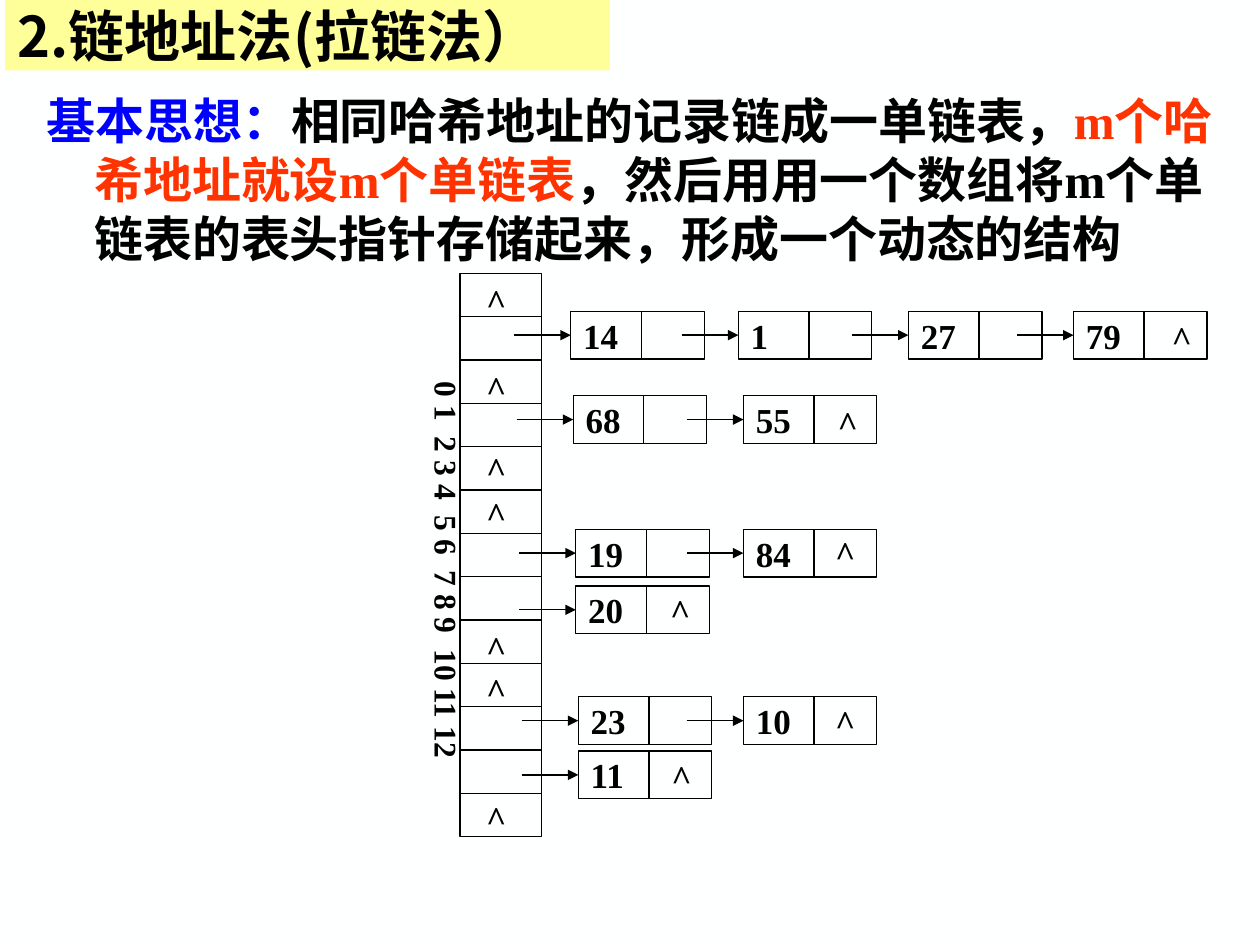
"""Build a slide that explains separate chaining for hash tables."""
from dataclasses import dataclass

from lxml import etree
from pptx import Presentation
from pptx.dml.color import RGBColor
from pptx.enum.shapes import MSO_CONNECTOR, MSO_SHAPE
from pptx.enum.text import MSO_ANCHOR, MSO_AUTO_SIZE, PP_ALIGN
from pptx.oxml.ns import qn
from pptx.util import Inches, Pt

STRAIGHT = MSO_CONNECTOR.STRAIGHT
RECTANGLE = MSO_SHAPE.RECTANGLE
MIDDLE = MSO_ANCHOR.MIDDLE
TOP = MSO_ANCHOR.TOP
LEFT = PP_ALIGN.LEFT
NO_FIT = MSO_AUTO_SIZE.NONE
FIT_SHAPE = MSO_AUTO_SIZE.SHAPE_TO_FIT_TEXT

BLACK = RGBColor(0x00, 0x00, 0x00)
BLUE = RGBColor(0x00, 0x00, 0xFF)
RED = RGBColor(0xFF, 0x33, 0x00)
YELLOW = RGBColor(0xFF, 0xFF, 0x99)
PAPER = RGBColor(0xFE, 0xFF, 0xFF)

SERIF = "Times New Roman"
SANS = "Noto Sans CJK SC"
LINE_WIDTH = Pt(0.75)

TABLE_LEFT, TABLE_TOP, TABLE_W, TABLE_H = 3.65, 2.17, 0.65, 4.47
BUCKETS = 13
NODE_W, NODE_H, DATA_W, ARROW_W = 1.06, 0.38, 0.56, 0.45
MARK_LEFT = 3.76
MARK_TOPS = (2.17, 2.86, 3.5, 3.86, 4.92, 5.26, 6.27)


@dataclass(frozen=True)
class Node:
    """A list node with its key and left edge."""
    key: str
    left: float


@dataclass(frozen=True)
class Chain:
    """A linked list and the place of its closing null mark."""
    top: float
    nodes: tuple[Node, ...]
    mark_left: float
    mark_top: float


CHAINS = (
    Chain(2.47, (Node("14", 4.53), Node("1", 5.86), Node("27", 7.21), Node("79", 8.52)), 9.2, 2.46),
    Chain(3.14, (Node("68", 4.55), Node("55", 5.9)), 6.55, 3.14),
    Chain(4.2, (Node("19", 4.57), Node("84", 5.9)), 6.53, 4.17),
    Chain(4.65, (Node("20", 4.57),), 5.22, 4.63),
    Chain(5.53, (Node("23", 4.59), Node("10", 5.9)), 6.53, 5.51),
    Chain(5.96, (Node("11", 4.59),), 5.23, 5.95),
)

IDEA = (
    ("基本思想：", BLUE),
    ("相同哈希地址的记录链成一单链表，", BLACK),
    ("m个哈希地址就设m个单链表", RED),
    ("，然后用用一个数组将m个单链表的表头指针存储起来，形成一个动态的结构", BLACK),
)


def style_run(r, size: float, color: RGBColor = BLACK, name: str = SERIF) -> None:
    """Format a run in bold with Latin and East Asian fonts."""
    r.font.size = Pt(size)
    r.font.bold = True
    r.font.color.rgb = color
    r.font.name = name
    etree.SubElement(r.font._element, qn("a:ea"), typeface=SANS)


def add_box(slide, left: float, top: float, width: float, height: float):
    """Add an unfilled rectangle with a thin black outline."""
    sp = slide.shapes.add_shape(
        RECTANGLE, Inches(left), Inches(top), Inches(width), Inches(height))
    sp.shadow.inherit = False
    sp.fill.background()
    sp.line.color.rgb = BLACK
    sp.line.width = LINE_WIDTH
    return sp


def add_line(slide, x1: float, y1: float, x2: float, y2: float, arrow: bool = False):
    """Add a thin black line, with an arrowhead if asked."""
    line = slide.shapes.add_connector(
        STRAIGHT, Inches(x1), Inches(y1), Inches(x2), Inches(y2))
    line.line.color.rgb = BLACK
    line.line.width = LINE_WIDTH
    if arrow:
        etree.SubElement(line.line._get_or_add_ln(), qn("a:tailEnd"), type="triangle")
    etree.SubElement(line._element.spPr, qn("a:effectLst"))
    return line


def add_label(slide, text: str, left: float, top: float, width: float,
              height: float, size: float):
    """Add an unwrapped text box and return its text frame."""
    sp = slide.shapes.add_textbox(
        Inches(left), Inches(top), Inches(width), Inches(height))
    tf = sp.text_frame
    tf.word_wrap = False
    tf.auto_size = FIT_SHAPE
    tf.text = text
    style_run(tf.paragraphs[0].runs[0], size)
    return tf


def add_mark(slide, left: float, top: float) -> None:
    """Add a null pointer mark."""
    add_label(slide, "^", left, top, 0.36, 0.44, 20)


def add_node(slide, node: Node, top: float) -> None:
    """Add a list node and the arrow that leads to it."""
    box = add_box(slide, node.left, top, NODE_W, NODE_H)
    tf = box.text_frame
    tf.word_wrap = False
    tf.vertical_anchor = MIDDLE
    tf.text = node.key
    p = tf.paragraphs[0]
    p.alignment = LEFT
    style_run(p.runs[0], 20)
    divider = node.left + DATA_W
    add_line(slide, divider, top, divider, top + NODE_H)
    middle = top + NODE_H / 2
    arrow = add_line(slide, node.left - ARROW_W, middle, node.left, middle, arrow=True)
    arrow.end_connect(box, 1)


def add_title(slide) -> None:
    """Place and format the title."""
    sp = slide.shapes.title
    sp.left, sp.top, sp.width, sp.height = Inches(0.04), 0, Inches(4.8), Inches(0.56)
    sp.fill.solid()
    sp.fill.fore_color.rgb = YELLOW
    tf = sp.text_frame
    tf.text = "2.链地址法(拉链法）"
    tf.auto_size = NO_FIT
    tf.vertical_anchor = MIDDLE
    p = tf.paragraphs[0]
    p.alignment = LEFT
    style_run(p.runs[0], 32, name=SANS)


def add_idea(slide) -> None:
    """Add the paragraph on the basic idea."""
    sp = slide.shapes.add_textbox(Inches(0.27), Inches(0.67), Inches(9.53), Inches(1.5))
    tf = sp.text_frame
    tf.word_wrap = True
    tf.auto_size = FIT_SHAPE
    tf.vertical_anchor = TOP
    p = tf.paragraphs[0]
    pPr = p._p.get_or_add_pPr()
    pPr.set("marL", str(Inches(0.38)))
    pPr.set("indent", str(-Inches(0.38)))
    for text, color in IDEA:
        r = p.add_run()
        r.text = text
        style_run(r, 28, color)


def add_table_column(slide) -> None:
    """Add the array of head pointers with its indices."""
    add_box(slide, TABLE_LEFT, TABLE_TOP, TABLE_W, TABLE_H)
    for i in range(1, BUCKETS):
        y = TABLE_TOP + i * TABLE_H / BUCKETS
        add_line(slide, TABLE_LEFT, y, TABLE_LEFT + TABLE_W, y)
    tf = add_label(slide, "0 1  2 3 4  5 6  7 8 9  10 11 12", 3.25, 2.93, 0.5, 3.17, 18)
    tf.margin_left = tf.margin_right = Inches(0.05)
    tf.margin_top = tf.margin_bottom = Inches(0.1)
    tf._txBody.bodyPr.set("vert", "eaVert")
    for top in MARK_TOPS:
        add_mark(slide, MARK_LEFT, top)


def main() -> None:
    """Build and save the slide."""
    prs = Presentation()
    prs.slide_width, prs.slide_height = Inches(10), Inches(7.5)
    slide = prs.slides.add_slide(prs.slide_layouts[5])
    slide.background.fill.solid()
    slide.background.fill.fore_color.rgb = PAPER
    add_title(slide)
    add_idea(slide)
    add_table_column(slide)
    for chain in CHAINS:
        for node in chain.nodes:
            add_node(slide, node, chain.top)
        add_mark(slide, chain.mark_left, chain.mark_top)
    prs.save("out.pptx")


if __name__ == "__main__":
    main()
